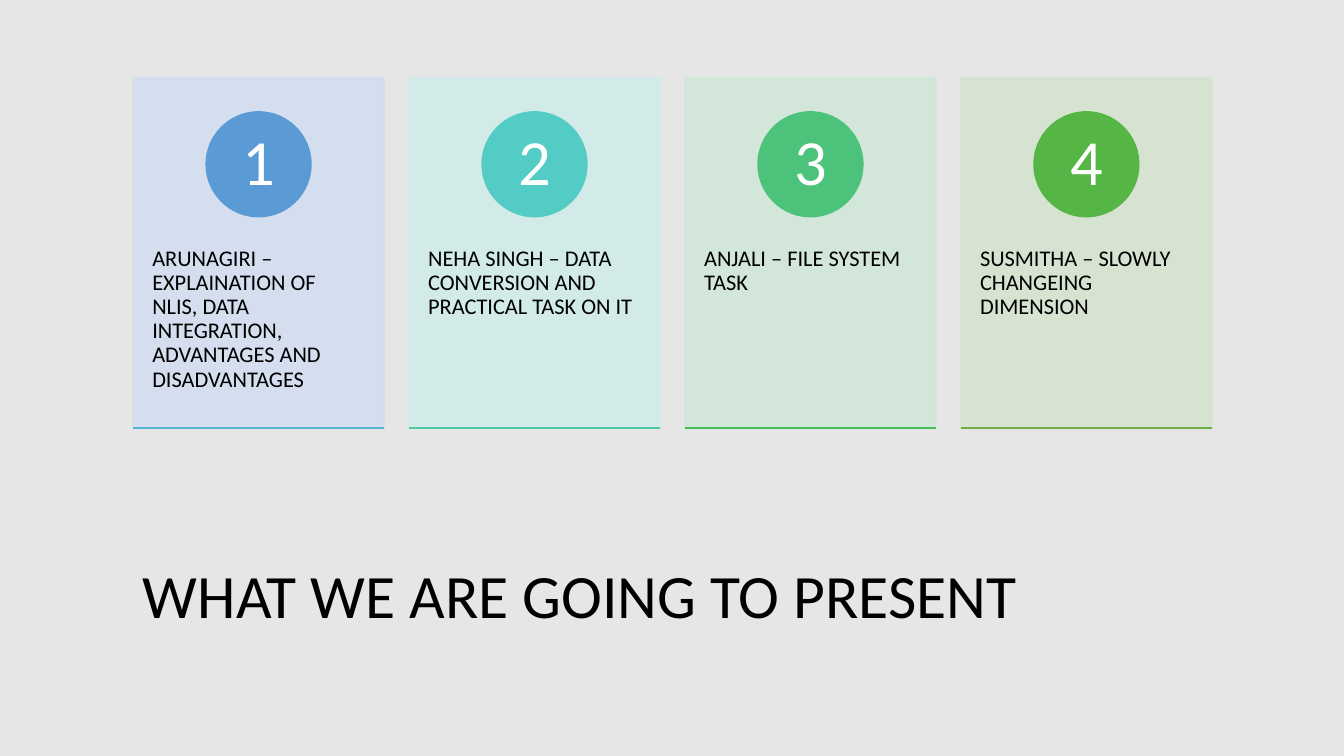
"""Build the agenda slide: four numbered presenter cards above a title."""
from lxml import etree
from pptx import Presentation
from pptx.dml.color import RGBColor
from pptx.enum.shapes import MSO_CONNECTOR, MSO_SHAPE
from pptx.enum.text import MSO_ANCHOR, PP_ALIGN
from pptx.oxml.ns import qn
from pptx.util import Inches, Pt

TITLE = "WHAT WE ARE GOING TO PRESENT"
CARDS = [
    ("ARUNAGIRI – EXPLAINATION OF NLIS, DATA INTEGRATION, ADVANTAGES AND DISADVANTAGES",
     RGBColor(0xD2, 0xDE, 0xEF), RGBColor(0x5B, 0x9B, 0xD5), RGBColor(0x57, 0xB7, 0xD1)),
    ("NEHA SINGH – DATA CONVERSION AND PRACTICAL TASK ON IT",
     RGBColor(0xD0, 0xEC, 0xEA), RGBColor(0x53, 0xCC, 0xC5), RGBColor(0x4F, 0xC7, 0xA0)),
    ("ANJALI – FILE SYSTEM TASK",
     RGBColor(0xD0, 0xE7, 0xD8), RGBColor(0x4C, 0xC2, 0x7B), RGBColor(0x48, 0xBD, 0x58)),
    ("SUSMITHA – SLOWLY CHANGEING DIMENSION",
     RGBColor(0xD5, 0xE3, 0xCF), RGBColor(0x55, 0xB6, 0x46), RGBColor(0x70, 0xAD, 0x47)),
]
FONT = "Calibri"
BLACK = RGBColor(0, 0, 0)
WHITE = RGBColor(0xFF, 0xFF, 0xFF)
BACKGROUND = RGBColor(0xE7, 0xE6, 0xE6)
RECTANGLE, OVAL = MSO_SHAPE.RECTANGLE, MSO_SHAPE.OVAL
STRAIGHT = MSO_CONNECTOR.STRAIGHT
TOP, MIDDLE = MSO_ANCHOR.TOP, MSO_ANCHOR.MIDDLE
LEFT, CENTER = PP_ALIGN.LEFT, PP_ALIGN.CENTER

SLIDE_WIDTH, SLIDE_HEIGHT = 13.33, 7.5
GRID_LEFT, GRID_WIDTH = 1.32, 10.7
CARD_TOP, CARD_WIDTH, CARD_HEIGHT = 0.77, 2.49, 3.48
PITCH = (GRID_WIDTH - CARD_WIDTH) / (len(CARDS) - 1)
CIRCLE_TOP, CIRCLE_SIZE = 1.11, 1.04
LABEL_TOP, LABEL_HEIGHT = 2.09, 2.09
TITLE_TOP, TITLE_HEIGHT = 5.11, 1.65


def write(shape, text, size, color, align, anchor, side, above, below):
    frame = shape.text_frame
    frame.word_wrap = True
    frame.vertical_anchor = anchor
    frame.margin_left = frame.margin_right = Inches(side)
    frame.margin_top, frame.margin_bottom = Inches(above), Inches(below)
    para = frame.paragraphs[0]
    para.text = text
    para.alignment = align
    para.line_spacing = 0.9
    para.font.name = FONT
    para.font.size = Pt(size)
    para.font.color.rgb = color


def add_filled(page, kind, left, top, width, height, color):
    shape = page.shapes.add_shape(
        kind, Inches(left), Inches(top), Inches(width), Inches(height))
    shape.shadow.inherit = False
    shape.fill.solid()
    shape.fill.fore_color.rgb = color
    shape.line.color.rgb = color
    shape.line.width = Pt(1)
    return shape


def add_text(page, left, top, width, height, *style):
    box = page.shapes.add_textbox(
        Inches(left), Inches(top), Inches(width), Inches(height))
    write(box, *style)


def add_rule(page, left, top, width, color):
    rule = page.shapes.add_connector(
        STRAIGHT, Inches(left), Inches(top), Inches(left + width), Inches(top))
    rule.line.color.rgb = color
    rule.line.width = Pt(1.5)
    etree.SubElement(rule._element.spPr, qn("a:effectLst"))


def add_card(page, index, text, tint, accent, rule_color):
    left = GRID_LEFT + index * PITCH
    card = add_filled(page, RECTANGLE, left, CARD_TOP, CARD_WIDTH, CARD_HEIGHT, tint)
    for color in card._element.spPr.iter(qn("a:srgbClr")):
        etree.SubElement(color, qn("a:alpha"), val="90000")
    add_text(page, left, LABEL_TOP, CARD_WIDTH, LABEL_HEIGHT,
             text, 16, BLACK, LEFT, TOP, 0.19, 0.36, 0)
    circle = add_filled(page, OVAL, left + (CARD_WIDTH - CIRCLE_SIZE) / 2, CIRCLE_TOP,
                        CIRCLE_SIZE, CIRCLE_SIZE, accent)
    write(circle, str(index + 1), 46, WHITE, CENTER, MIDDLE, 0.08, 0.01, 0.01)
    add_rule(page, left, CARD_TOP + CARD_HEIGHT, CARD_WIDTH, rule_color)


def main():
    deck = Presentation()
    deck.slide_width, deck.slide_height = Inches(SLIDE_WIDTH), Inches(SLIDE_HEIGHT)
    page = deck.slides.add_slide(deck.slide_layouts[6])
    page.background.fill.solid()
    page.background.fill.fore_color.rgb = BACKGROUND
    add_text(page, GRID_LEFT, TITLE_TOP, GRID_WIDTH, TITLE_HEIGHT,
             TITLE, 44, BLACK, LEFT, MIDDLE, 0.1, 0.05, 0.05)
    for index, card in enumerate(CARDS):
        add_card(page, index, *card)
    deck.save("out.pptx")


if __name__ == "__main__":
    main()
